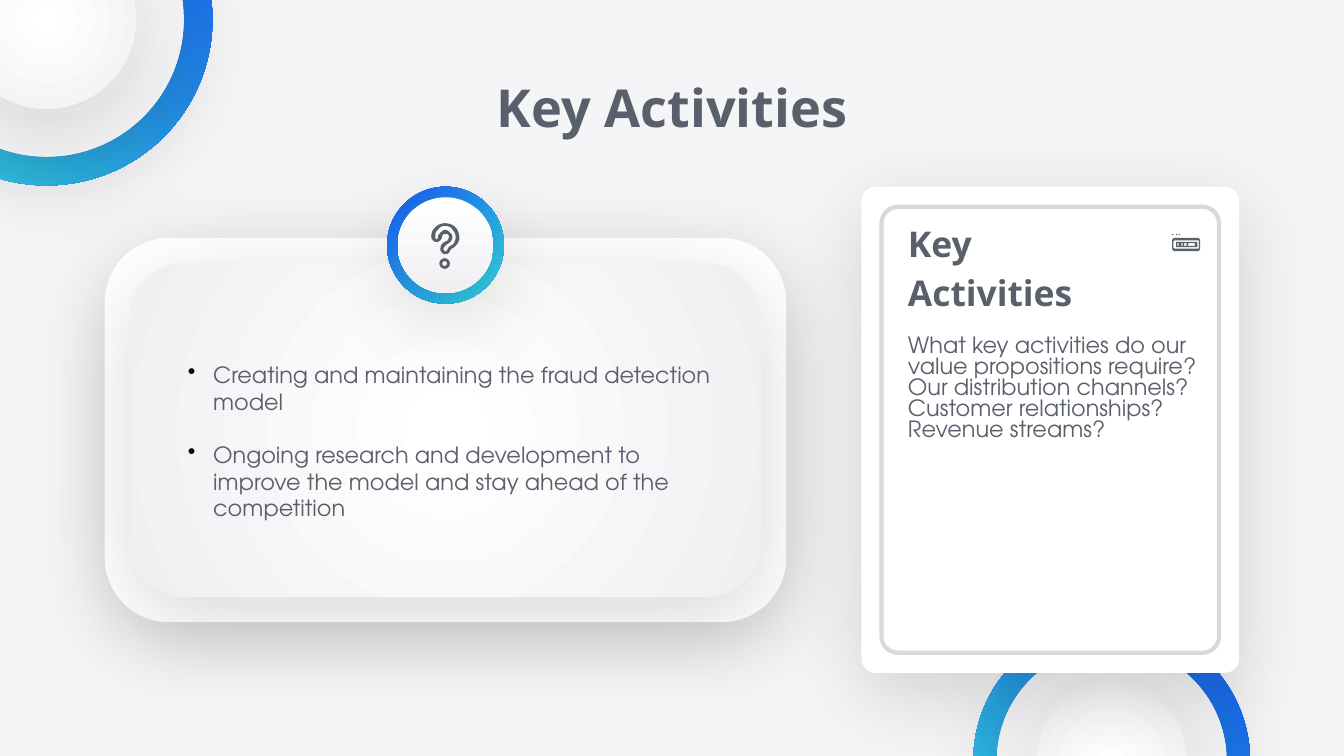
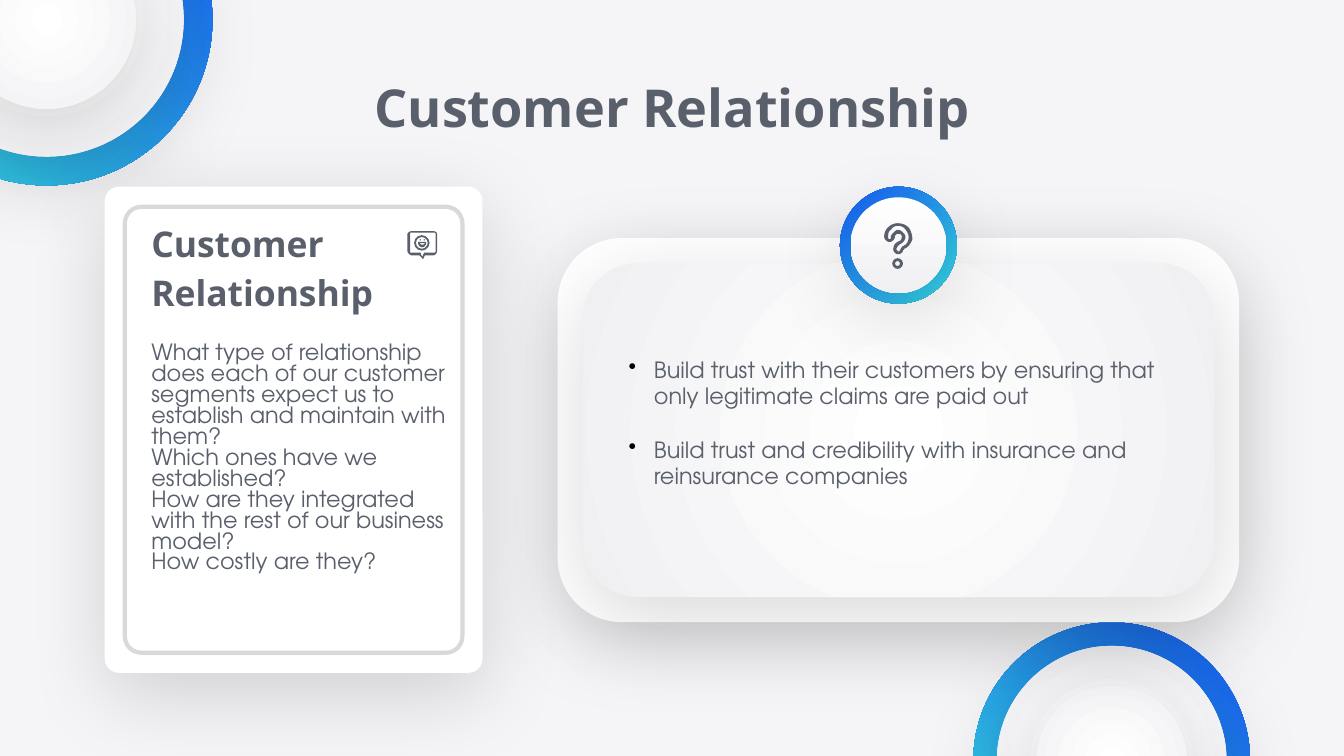
import pptx
import pptx.dml.color
import pptx.enum.shapes
import pptx.enum.text
import pptx.oxml.ns
import pptx.util
from lxml import etree

Cm = pptx.util.Cm
Pt = pptx.util.Pt
qn = pptx.oxml.ns.qn
Kind = pptx.enum.shapes.MSO_SHAPE
Align = pptx.enum.text.PP_ALIGN
Anchor = pptx.enum.text.MSO_ANCHOR


class Theme:
    back, text, bullet = "EBECF0", "595F6B", "000000"
    white, pale, edge = "FFFFFF", "F0F0F3", "D9D9D9"
    blue, cyan = "1658F1", "36DBE0"
    head, body = "Noto Sans", "TeX Gyre Adventor"
    title, label, copy = 28, 19, 12
    tight, loose = 11.2, 14.3


MARK = [
    ("draw", "10 2, 13 2 15 3 16 5, 19 8 19 13 16 16, 15 16 15 17 14 17, 13 18 12 19 12 20,"
             "12 20 11 21 11 21, 11 21 10 21 10 21, 10 20 9 20 9 19, 10 17 11 16 13 15,"
             "16 13 17 9 14 7, 13 6 12 5 10 5, 9 5 8 6 7 7, 6 8 5 9 5 10, 5 11 5 12 4 12,"
             "3 12 3 11 3 10, 3 8 3 6 5 5, 6 3 8 2 10 2;"
             "10 0, 8 0 5 1 3 3, 1 5 0 7 0 10, 0 12 2 14 4 14, 6 14 8 12 8 10, 8 9 9 8 10 8,"
             "11 8 11 8 12 8, 14 9 13 12 12 13, 9 14 7 16 7 18, 6 20 8 23 10 23,"
             "10 23 10 23 11 23, 12 23 14 22 14 20, 14 20 15 20 15 19, 18 18 20 15 21 12,"
             "21 9 20 5 18 3, 16 1 13 0 10 0"),
    ("ring", (6, 26, 8, 0.27)),
]
ROUTER = [
    ("draw", "19 5, 20 5 20 5 20 6, 20 10, 20 11 20 11 19 11, 2 11, 2 11 1 11 1 10, 1 6,"
             "1 5 2 5 2 5; 2 3, 1 3 0 4 0 6, 0 10, 0 12 1 13 2 13, 19 13,"
             "20 13 21 12 21 10, 21 6, 21 4 20 3 19 3"),
    ("dot", (0, 0, 1)),
    ("dot", (3, 0, 1)),
    ("dot", (5, 0, 1)),
    ("draw", "5 7, 5 9, 4 9, 4 7; 8 7, 8 9, 7 9, 7 7; 11 7, 11 9, 9 9, 9 7;"
             "17 7, 17 9, 12 9, 12 7; 3 6, 3 10, 19 10, 19 6"),
]
BUBBLE = [
    ("ring", (5, 3, 11.5, 0.12)),
    ("draw", "13 9, 13 10 12 10 11 10, 10 10 10 10 9 9;"
             "9 8, 8 8 8 8 8 9, 8 10 9 12 11 12, 13 12 14 10 14 9, 14 8 14 8 14 8"),
    ("dot", (12, 6, 1)),
    ("dot", (9, 6, 1)),
    ("draw", "19 1, 20 1 21 1 21 2, 21 15, 21 16 20 16 19 16, 13 16, 13 16 12 16 12 17,"
             "11 19, 10 17, 10 16 10 16 9 16, 3 16, 2 16 2 16 2 15, 2 2, 2 1 2 1 3 1;"
             "3 0, 2 0 0 1 0 2, 0 15, 0 16 2 18 3 18, 9 18, 11 20, 11 21 12 21 12 20,"
             "13 18, 19 18, 21 18 22 16 22 15, 22 2, 22 1 21 0 19 0"),
]

SLIDES = [
    {
        "title": "Key Activities",
        "right": True,
        "label": ["Key", "Activities"],
        "gap": 11.2,
        "asks": [
            "What key activities do our value propositions require?",
            "Our distribution channels? Customer relationships? Revenue streams?",
        ],
        "row": 4.45,
        "icon": (ROUTER, 5.87, 4.42),
        "points": [
            "Creating and maintaining the fraud detection model",
            "Ongoing research and development to improve the model and stay ahead "
            "of the competition",
        ],
        "list": (3.3, 6.58, 10.41, 3.1),
    },
    {
        "title": "Customer Relationship",
        "right": False,
        "label": ["Customer Relationship"],
        "gap": 15,
        "asks": [
            "What type of relationship does each of our customer segments expect us "
            "to establish and maintain with them?",
            "Which ones have we established?",
            "How are they integrated with the rest of our business model?",
            "How costly are they?",
        ],
        "row": 8.2,
        "icon": (BUBBLE, 5.72, 4.37),
        "points": [
            "Build trust with their customers by ensuring that only legitimate claims "
            "are paid out",
            "Build trust and credibility with insurance and reinsurance companies",
        ],
        "list": (11.63, 6.48, 10.9, 3),
    },
]

WIDE, HIGH, SIDE, TOP = 25.4, 14.29, 1.98, 3.53
CARD = (7.14, 9.19)
PANEL = (12.88, 7.26)
BADGE = 2.21
UNIT = 0.0254
RINGS = [((0.88, 0.37), (6.27, 5.18, 3.38)), ((21.01, 14.38), (5.23, 4.34, 2.84))]


def tint(code):
    return pptx.dml.color.RGBColor.from_string(code)


def sub(node, tag, **keys):
    return etree.SubElement(node, qn(tag), {key: str(val) for key, val in keys.items()})


def box(shapes, kind, x, y, w, h, fill=None, line=None, adj=None, shade=False):
    item = shapes.add_shape(kind, Cm(x), Cm(y), Cm(w), Cm(h))
    item.shadow.inherit = False
    if adj is not None:
        item.adjustments[0] = adj
    if fill is None:
        item.fill.background()
    elif isinstance(fill, str):
        item.fill.solid()
        item.fill.fore_color.rgb = tint(fill)
    else:
        blend(item, *fill)
    if line:
        item.line.color.rgb = tint(line)
        item.line.width = Pt(2.25)
    else:
        item.line.fill.background()
    if shade:
        cast(item)
    return item


def blend(item, start, end, turn):
    item.fill.gradient()
    for stop, code in zip(item.fill.gradient_stops, (start, end)):
        stop.color.rgb = tint(code)
    for stop, place in zip(item.fill.gradient_stops, (0, 1)):
        stop.position = place
    if turn is not None:
        item.fill.gradient_angle = 360 - turn
        return
    grad = item.element.spPr.find(qn("a:gradFill"))
    grad.remove(grad.find(qn("a:lin")))
    core = sub(grad, "a:path", path="circle")
    sub(core, "a:fillToRect", l=50000, t=50000, r=50000, b=50000)


def cast(item):
    node = item.element.spPr.find(qn("a:effectLst"))
    drop = sub(node, "a:outerShdw", blurRad=Pt(45), dist=Pt(11.2), dir=85 * 60000,
               algn="tl", rotWithShape=0)
    sub(sub(drop, "a:srgbClr", val="000000"), "a:alpha", val=15000)


GLOW = (Theme.white, Theme.pale, None)
SWEEP = (Theme.blue, Theme.cyan, 45)


def trace(text, x, y):
    unit = Cm(UNIT)
    loops = []
    for loop in text.split(";"):
        spots = []
        for part in loop.split(","):
            nums = [float(num) for num in part.split()]
            if len(nums) == 2:
                spots.append(tuple(nums))
                continue
            a, b, c, d = spots[-1], nums[:2], nums[2:4], nums[4:]
            for step in range(1, 7):
                t = step / 6
                u = 1 - t
                spots.append(tuple(
                    u**3 * a[i] + 3 * u * u * t * b[i] + 3 * u * t * t * c[i] + t**3 * d[i]
                    for i in (0, 1)))
        loops.append([(px * unit, py * unit) for px, py in spots])
    return loops


def icon(slide, parts, x, y):
    group = slide.shapes.add_group_shape().shapes
    for kind, data in parts:
        if kind == "draw":
            loops = trace(data, x, y)
            pen = group.build_freeform(*loops[0][0], scale=1.0)
            for num, loop in enumerate(loops):
                if num:
                    pen.move_to(*loop[0])
                pen.add_line_segments(loop[1:], close=True)
            item = pen.convert_to_shape(Cm(x), Cm(y))
            item.shadow.inherit = False
            item.fill.solid()
            item.fill.fore_color.rgb = tint(Theme.text)
            item.line.fill.background()
            continue
        left, top, size = (num * UNIT for num in data[:3])
        form, adj = (Kind.DONUT, data[3]) if kind == "ring" else (Kind.OVAL, None)
        box(group, form, x + left, y + top, size, size, Theme.text, adj=adj)


def style(para, face, size, bold=False):
    for run in para.runs:
        run.font.name = face
        run.font.size = Pt(size)
        run.font.bold = bold
        run.font.color.rgb = tint(Theme.text)


def field(slide, x, y, w, h, lines):
    frame = slide.shapes.add_textbox(Cm(x), Cm(y), Cm(w), Cm(h)).text_frame
    frame.word_wrap = True
    frame.margin_left = frame.margin_right = Cm(0.25)
    frame.margin_top = frame.margin_bottom = Cm(0.25)
    frame.text = "\n".join(lines)
    return frame


def base(slide, title):
    fill = slide.background.fill
    fill.solid()
    fill.fore_color.rgb = tint(Theme.back)
    for node in slide.background.fill.fore_color and slide.element.iter(qn("a:srgbClr")):
        sub(node, "a:alpha", val=48000)
    for (cx, cy), sizes in RINGS:
        for num, size in enumerate(sizes):
            item = box(slide.shapes, Kind.OVAL, cx - size / 2, cy - size / 2, size, size,
                       GLOW if num else SWEEP, shade=num > 0)
            item.rotation = 90
    frame = field(slide, SIDE, 1.5, WIDE - 2 * SIDE, 1.04, [title])
    frame.vertical_anchor = Anchor.MIDDLE
    frame.paragraphs[0].alignment = Align.CENTER
    style(frame.paragraphs[0], Theme.head, Theme.title, True)


def card(slide, x, page):
    w, h = CARD
    pad = 0.38
    box(slide.shapes, Kind.ROUNDED_RECTANGLE, x, TOP, w, h, Theme.white, adj=0.038, shade=True)
    left, top, wide = x + pad, TOP + pad, w - 2 * pad
    box(slide.shapes, Kind.ROUNDED_RECTANGLE, left, top, wide, h - 2 * pad,
        line=Theme.edge, adj=0.049)
    table = slide.shapes.add_table(1, 1, Cm(left), Cm(top), Cm(wide), Cm(page["row"])).table
    table.first_row = table.horz_banding = False
    cell = table.cell(0, 0)
    cell.margin_left = Cm(0.5)
    cell.margin_right = cell.margin_top = cell.margin_bottom = Cm(0.25)
    cell.text = "\n".join(page["label"] + page["asks"])
    first = len(page["label"])
    for num, para in enumerate(cell.text_frame.paragraphs):
        if num < first:
            style(para, Theme.head, Theme.label, True)
        else:
            style(para, Theme.body, Theme.copy)
            para.line_spacing = Pt(Theme.tight)
            para.space_before = Pt(page["gap"] if num == first else 0)
    props = cell._tc.get_or_add_tcPr()
    for side in ("a:lnL", "a:lnR", "a:lnT", "a:lnB"):
        sub(sub(props, side, w=0), "a:noFill")
    cell.fill.background()
    parts, dx, y = page["icon"]
    icon(slide, parts, x + dx, y)


def panel(slide, x, page):
    w, h = PANEL
    y, pad, rim = 4.5, 0.47, 0.2
    box(slide.shapes, Kind.ROUNDED_RECTANGLE, x, y, w, h, Theme.white, adj=0.167, shade=True)
    box(slide.shapes, Kind.ROUNDED_RECTANGLE, x + pad, y + pad, w - 2 * pad, h - 2 * pad,
        GLOW, adj=0.167, shade=True)
    mid = x + w / 2
    left, core = mid - BADGE / 2, BADGE - 2 * rim
    box(slide.shapes, Kind.OVAL, left, TOP, BADGE, BADGE, SWEEP)
    box(slide.shapes, Kind.OVAL, left + rim, TOP + rim, core, core,
        (Theme.white, Theme.pale, 90), shade=True)
    icon(slide, MARK, mid - 0.27, 4.22)
    frame = field(slide, *page["list"], page["points"])
    for num, para in enumerate(frame.paragraphs):
        style(para, Theme.body, Theme.copy)
        para.line_spacing = Pt(Theme.loose)
        para.space_before = Pt(Theme.loose if num else 0)
        props = para._p.get_or_add_pPr()
        props.set("marL", str(Cm(0.48)))
        props.set("indent", str(-Cm(0.48)))
        sub(sub(props, "a:buClr"), "a:srgbClr", val=Theme.bullet)
        sub(props, "a:buChar", char="•")


def main():
    deck = pptx.Presentation()
    deck.slide_width, deck.slide_height = Cm(WIDE), Cm(HIGH)
    for page in SLIDES:
        slide = deck.slides.add_slide(deck.slide_layouts[6])
        base(slide, page["title"])
        near, far = SIDE, WIDE - SIDE
        if page["right"]:
            card(slide, far - CARD[0], page)
            panel(slide, near, page)
        else:
            card(slide, near, page)
            panel(slide, far - PANEL[0], page)
    deck.save("out.pptx")


if __name__ == "__main__":
    main()
